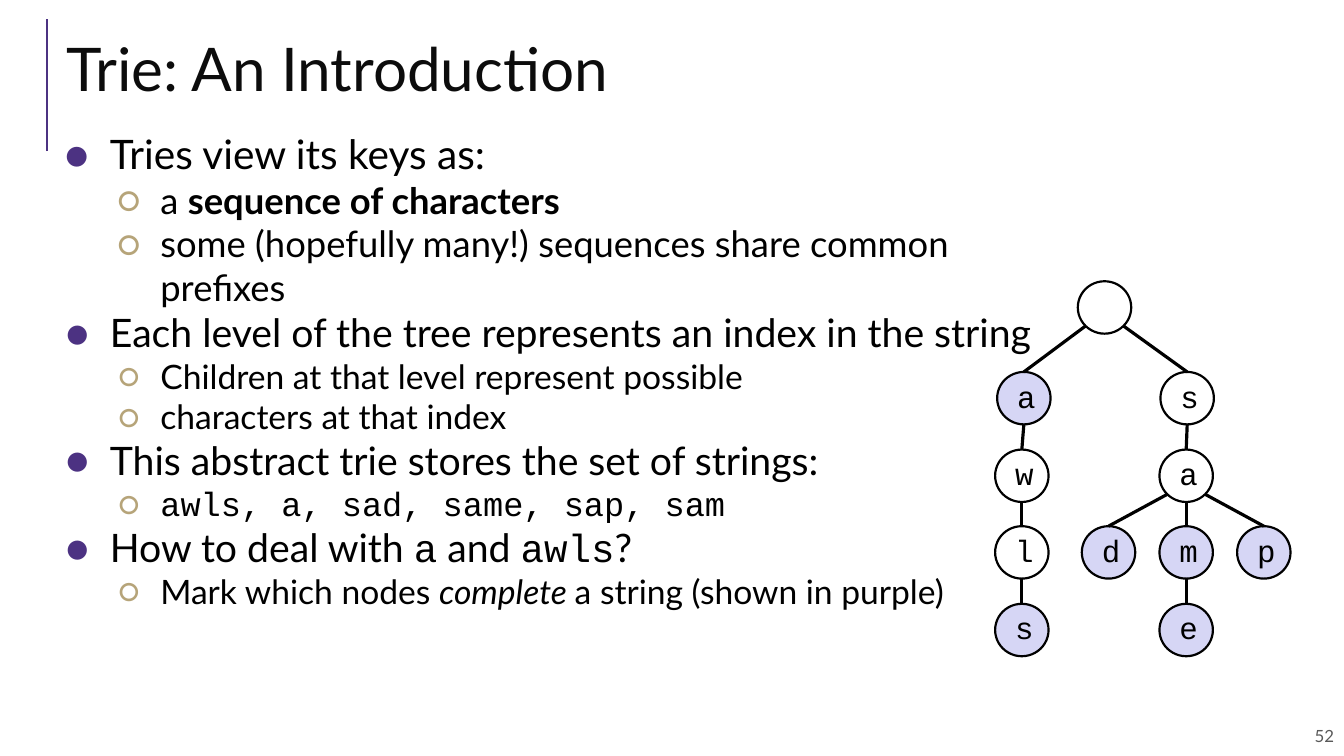
from dataclasses import dataclass
from typing import Optional

from lxml.etree import SubElement
from pptx import Presentation
from pptx.dml.color import RGBColor
from pptx.enum.shapes import MSO_CONNECTOR as Connector, MSO_SHAPE as Shape
from pptx.enum.text import MSO_ANCHOR as Anchor, PP_ALIGN as Align
from pptx.oxml.ns import qn
from pptx.util import Pt

PX = 9144  # EMU per px, 100 px to the inch


@dataclass(frozen=True)
class Theme:
    black: str = "000000"
    title: str = "0C0C0C"
    purple: str = "4C3282"
    gold: str = "B6A479"
    grey: str = "595959"
    complete: str = "D6D6F5"
    sans: str = "Lato"
    mono: str = "Courier New"
    title_size: int = 43
    letter_size: int = 22
    number_size: int = 12
    rule_width: float = 1.5
    outline_width: float = 1.56
    edge_width: float = 2.28


THEME = Theme()


@dataclass(frozen=True)
class Run:
    text: str
    font: str = THEME.sans
    bold: bool = False
    italic: bool = False


@dataclass(frozen=True)
class Bullet:
    char: str
    color: str
    margin: int
    hang: int
    level: int = 0


@dataclass(frozen=True)
class Para:
    runs: tuple[Run, ...]
    size: float
    bullet: Optional[Bullet] = None


@dataclass(frozen=True)
class Node:
    """One trie node; parent is an index in TRIE, site a corner of the parent."""
    left: int
    row: int
    letter: str = ""
    complete: bool = False
    parent: Optional[int] = None
    side: int = 0  # -1 lower left, 0 bottom, 1 lower right


# Content
DOT_LARGE = Bullet("●", THEME.purple, 50, 45)
DOT = Bullet("●", THEME.purple, 50, 44)
RING_LARGE = Bullet("○", THEME.gold, 100, 43, 1)
RING = Bullet("○", THEME.gold, 100, 42, 1)

POINTS = (
    Para((Run("Tries view its keys as:"),), 29, DOT_LARGE),
    Para((Run("a "), Run("sequence of characters", bold=True)), 26, RING_LARGE),
    Para((Run("some (hopefully many!) sequences share common prefixes"),), 26, RING_LARGE),
    Para((Run("Each level of the tree represents an index in the string"),), 28, DOT),
    Para((Run("Children at that level represent possible"),), 24, RING),
    Para((Run("characters at that index"),), 24, RING),
    Para((Run("This abstract trie stores the set of strings:"),), 28, DOT),
    Para((Run("awls, a, sad, same, sap, sam", THEME.mono),), 24, RING),
    Para((Run("How to deal with "), Run("a", THEME.mono), Run(" and "),
          Run("awls", THEME.mono), Run("?")), 28, DOT),
    Para((Run("Mark which nodes "), Run("complete ", italic=True),
          Run("a string (shown in purple)")), 24, RING),
)

NODE_W, NODE_H = 53, 52
ROW_TOPS = (279, 369, 446, 522, 599)
TRIE = (
    Node(1069, 0),
    Node(989, 1, "a", True, 0, -1),
    Node(987, 2, "w", False, 1),
    Node(987, 3, "l", False, 2),
    Node(987, 4, "s", True, 3),
    Node(1151, 1, "s", False, 0, 1),
    Node(1150, 2, "a", False, 5),
    Node(1073, 3, "d", True, 6, -1),
    Node(1150, 3, "m", True, 6),
    Node(1227, 3, "p", True, 6, 1),
    Node(1150, 4, "e", True, 8),
)


def px(value: float) -> int:
    return round(value * PX)


def rgb(color: str) -> RGBColor:
    return RGBColor.from_string(color)


def add_bullet(paragraph, bullet: Bullet) -> None:
    paragraph.level = bullet.level
    props = paragraph._p.get_or_add_pPr()
    props.set("marL", str(px(bullet.margin)))
    props.set("indent", str(px(-bullet.hang)))
    SubElement(SubElement(props, qn("a:buClr")), qn("a:srgbClr")).set("val", bullet.color)
    SubElement(props, qn("a:buFont")).set("typeface", THEME.sans)
    SubElement(props, qn("a:buChar")).set("char", bullet.char)


def write(shape, paras: tuple[Para, ...], *, color: str = THEME.black,
          insets: tuple[int, int, int, int] = (0, 0, 0, 0), align: Align = Align.LEFT,
          anchor: Anchor = Anchor.TOP, wrap: bool = True) -> None:
    """Fill a shape with formatted text; insets run left, top, right, bottom."""
    frame = shape.text_frame
    frame.word_wrap, frame.vertical_anchor = wrap, anchor
    (frame.margin_left, frame.margin_top,
     frame.margin_right, frame.margin_bottom) = map(px, insets)
    for index, para in enumerate(paras):
        paragraph = frame.add_paragraph() if index else frame.paragraphs[0]
        if para.bullet:
            add_bullet(paragraph, para.bullet)
        paragraph.alignment = align
        for part in para.runs:
            run = paragraph.add_run()
            run.text = part.text
            font = run.font
            font.name, font.size = part.font, Pt(para.size)
            font.bold, font.italic = part.bold, part.italic
            font.color.rgb = rgb(color)


def add_box(slide, left: int, top: int, width: int, height: int):
    return slide.shapes.add_textbox(px(left), px(top), px(width), px(height))


def add_line(slide, start: tuple[float, float], end: tuple[float, float],
             color: str, width: float):
    line = slide.shapes.add_connector(Connector.STRAIGHT, *map(px, start + end))
    line.line.color.rgb = rgb(color)
    line.line.width = Pt(width)
    SubElement(line._element.spPr, qn("a:effectLst"))
    return line


def add_node(slide, node: Node):
    oval = slide.shapes.add_shape(Shape.OVAL, px(node.left), px(ROW_TOPS[node.row]),
                                  px(NODE_W), px(NODE_H))
    oval.shadow.inherit = False
    oval.line.color.rgb = rgb(THEME.black)
    oval.line.width = Pt(THEME.outline_width)
    if node.complete:
        oval.fill.solid()
        oval.fill.fore_color.rgb = rgb(THEME.complete)
    else:
        oval.fill.background()
    if node.letter:
        write(oval, (Para((Run(node.letter, THEME.mono),), THEME.letter_size),),
              insets=(5, 0, 0, 5), align=Align.CENTER, anchor=Anchor.MIDDLE, wrap=False)
    return oval


def add_edge(slide, child: Node, child_oval) -> None:
    parent = TRIE[child.parent]
    drop = math_corner if child.side else 1
    start = (parent.left + NODE_W / 2 * (1 + child.side * math_corner),
             ROW_TOPS[parent.row] + NODE_H / 2 * (1 + drop))
    end = (child.left + NODE_W / 2, ROW_TOPS[child.row])
    edge = add_line(slide, start, end, THEME.black, THEME.edge_width)
    edge.end_connect(child_oval, 0)


math_corner = 0.5 ** 0.5  # offset of a 45° point on a unit circle


def main() -> None:
    deck = Presentation()
    deck.slide_width, deck.slide_height = px(1333), px(750)
    slide = deck.slides.add_slide(deck.slide_layouts[6])

    # Rule, slide number and title
    add_line(slide, (47, 150), (47, 19), THEME.purple, THEME.rule_width)
    write(add_box(slide, 865, 710, 468, 40), (Para((Run("52"),), THEME.number_size),),
          color=THEME.grey, insets=(10, 10, 10, 10), align=Align.RIGHT, anchor=Anchor.MIDDLE)
    write(add_box(slide, 63, 29, 1223, 75),
          (Para((Run("Trie: An Introduction"),), THEME.title_size),),
          color=THEME.title, insets=(3, 2, 0, 0))

    # Bullet points
    write(add_box(slide, 54, 123, 1025, 493), POINTS, insets=(5, 5, 5, 5))

    # Trie
    ovals = [add_node(slide, node) for node in TRIE]
    for node, oval in zip(TRIE, ovals):
        if node.parent is not None:
            add_edge(slide, node, oval)

    deck.save("out.pptx")


if __name__ == "__main__":
    main()
